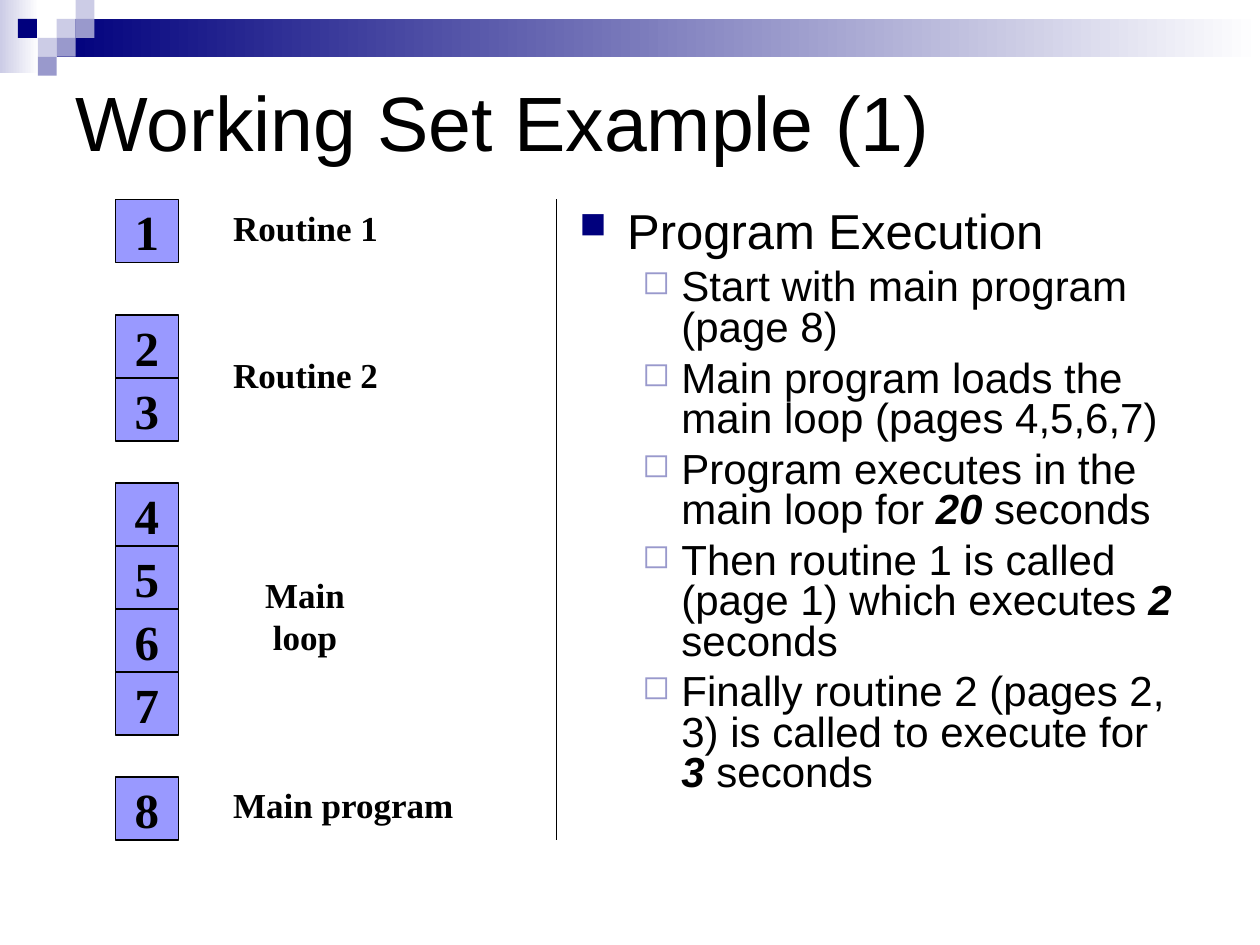
from dataclasses import dataclass

from lxml.etree import SubElement
from pptx import Presentation
from pptx.dml.color import RGBColor
from pptx.enum.shapes import MSO_CONNECTOR, MSO_SHAPE
from pptx.enum.text import MSO_ANCHOR, PP_ALIGN
from pptx.oxml.ns import qn
from pptx.util import Inches, Pt

COLORS = {
    "ink": "000000", "paper": "FFFFFF", "navy": "00007D",
    "mid": "9999CC", "pale": "CCCCE6", "page": "9999FF",
}
SANS, SERIF = "Arial", "Times New Roman"
GRID = 1 / 12  # inches per column and row of the content
TILE = 0.15  # inches per square of the header pattern
PAGE = 6  # side of a memory page, in grid units
PAGE_COLUMN = 11
DIVIDER_COLUMN, DIVIDER_TOP, DIVIDER_BOTTOM = 53, 19, 80


@dataclass
class Tile:
    column: float
    row: int
    color: str


@dataclass
class Segment:
    name: str
    pages: range
    row: int
    label_row: int
    label_column: float
    label_width: float


@dataclass
class Level:
    bullet: str
    bullet_color: str
    bullet_percent: int
    size: int
    margin: float
    hanging: float
    before: int


TILES = [
    Tile(3, 1, "pale"), Tile(4, 0, "pale"), Tile(4, 1, "mid"), Tile(2, 2, "pale"),
    Tile(0.95, 1, "navy"), Tile(3, 2, "mid"), Tile(2, 3, "mid"),
]
SEGMENTS = [
    Segment("Routine 1", range(1, 2), 19, 19, 21, 16.2),
    Segment("Routine 2", range(2, 4), 30, 33, 21, 16.2),
    Segment("Main loop", range(4, 8), 46, 56, 20.6, 16.9),
    Segment("Main program", range(8, 9), 74, 74, 21, 23.4),
]
HEADING = Level("■", "navy", 75, 28, 0.38, 0.38, 0)
STEP = Level("◻", "mid", 80, 24, 0.81, 0.31, 6)
# Every second piece of a step is emphasised.
STEPS = [
    ["Start with main program (page 8)"],
    ["Main program loads the main loop (pages 4,5,6,7)"],
    ["Program executes in the main loop for ", "20", " seconds"],
    ["Then routine 1 is called (page 1) which executes", " 2 ", "seconds"],
    ["Finally routine 2 (pages 2, 3) is called to execute for ", "3", " seconds"],
]


def rgb(name: str) -> RGBColor:
    return RGBColor.from_string(COLORS[name])


def grid(units: float) -> int:
    return Inches(units * GRID)


def set_font(font, face: str, size: int, bold: bool = False) -> None:
    font.name, font.size, font.bold = face, Pt(size), bold
    font.color.rgb = rgb("ink")


def add_rect(slide, left: int, top: int, width: int, height: int):
    rect = slide.shapes.add_shape(MSO_SHAPE.RECTANGLE, left, top, width, height)
    rect.shadow.inherit = False
    rect.line.fill.background()
    return rect


def add_fade(slide, left: float, top: float, width: float, height: float, color: str) -> None:
    """Draw a band that fades from the colour to white, left to right."""
    fill = add_rect(slide, *map(Inches, (left, top, width, height))).fill
    fill.gradient()
    fill.gradient_angle = 0
    for stop, name in zip(fill.gradient_stops, (color, "paper")):
        stop.color.rgb = rgb(name)


def add_header(slide) -> None:
    add_fade(slide, 0, 0, 0.31, 0.58, "pale")
    add_fade(slide, 3 * TILE, TILE, 10 - 3 * TILE, 2 * TILE, "navy")
    side = Inches(TILE)
    for tile in TILES:
        rect = add_rect(slide, Inches(tile.column * TILE), Inches(tile.row * TILE), side, side)
        rect.fill.solid()
        rect.fill.fore_color.rgb = rgb(tile.color)


def write_centred(frame, text: str, size: int) -> None:
    frame.word_wrap = False
    frame.vertical_anchor = MSO_ANCHOR.MIDDLE
    paragraph = frame.paragraphs[0]
    paragraph.text = text
    paragraph.alignment = PP_ALIGN.CENTER
    set_font(paragraph.font, SERIF, size, bold=True)


def add_segment(slide, segment: Segment) -> None:
    for offset, number in enumerate(segment.pages):
        page = add_rect(slide, grid(PAGE_COLUMN), grid(segment.row + offset * PAGE),
                        grid(PAGE), grid(PAGE))
        page.fill.solid()
        page.fill.fore_color.rgb = rgb("page")
        page.line.color.rgb = rgb("ink")
        page.line.width = Pt(1)
        write_centred(page.text_frame, str(number), 28)
    label = slide.shapes.add_textbox(grid(segment.label_column), grid(segment.label_row),
                                     grid(segment.label_width), Inches(0.44))
    write_centred(label.text_frame, segment.name, 20)


def add_divider(slide) -> None:
    x = grid(DIVIDER_COLUMN)
    divider = slide.shapes.add_connector(
        MSO_CONNECTOR.STRAIGHT, x, grid(DIVIDER_TOP), x, grid(DIVIDER_BOTTOM))
    divider.line.color.rgb = rgb("ink")
    divider.line.width = Pt(1)
    SubElement(divider.element.spPr, qn("a:effectLst"))


def write_bullet(paragraph, pieces: list[str], level: Level) -> None:
    props = paragraph._p.get_or_add_pPr()
    props.set("marL", str(Inches(level.margin)))
    props.set("indent", str(-Inches(level.hanging)))
    color = SubElement(props, qn("a:buClr"))
    SubElement(color, qn("a:srgbClr"), val=COLORS[level.bullet_color])
    SubElement(props, qn("a:buSzPct"), val=str(level.bullet_percent * 1000))
    SubElement(props, qn("a:buChar"), char=level.bullet)
    paragraph.line_spacing = 0.8
    paragraph.space_before = Pt(level.before)
    set_font(paragraph.font, SANS, level.size)
    for index, piece in enumerate(pieces):
        run = paragraph.add_run()
        run.text = piece
        if index % 2:
            run.font.bold = run.font.italic = True


def add_title(slide) -> None:
    frame = slide.shapes.add_textbox(Inches(0.5), Inches(0.5), Inches(9.33), Inches(0.92)).text_frame
    frame.word_wrap = True
    frame.vertical_anchor = MSO_ANCHOR.MIDDLE
    frame.paragraphs[0].text = "Working Set Example (1)"
    set_font(frame.paragraphs[0].font, SANS, 44)


def add_execution(slide) -> None:
    frame = slide.shapes.add_textbox(grid(54), grid(19), grid(59), grid(61)).text_frame
    frame.word_wrap = True
    frame.margin_top = Inches(0.1)
    write_bullet(frame.paragraphs[0], ["Program Execution"], HEADING)
    for pieces in STEPS:
        paragraph = frame.add_paragraph()
        paragraph.level = 1
        write_bullet(paragraph, pieces, STEP)


def main() -> None:
    deck = Presentation()
    deck.slide_width, deck.slide_height = Inches(10), Inches(7.5)
    slide = deck.slides.add_slide(deck.slide_layouts[6])
    add_header(slide)
    add_title(slide)
    add_execution(slide)
    for segment in SEGMENTS:
        add_segment(slide, segment)
    add_divider(slide)
    deck.save("out.pptx")


if __name__ == "__main__":
    main()
